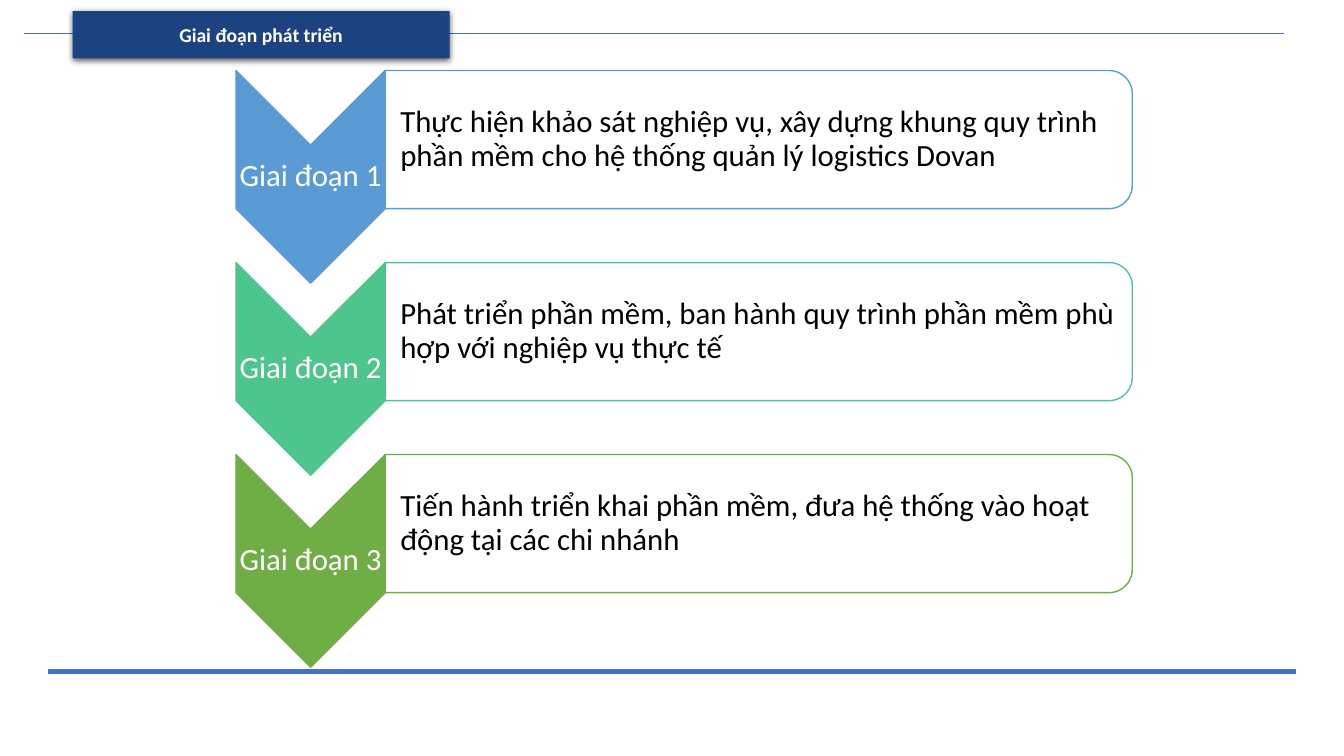
import math
from lxml import etree
from pptx import Presentation
from pptx import util as u
from pptx.dml.color import RGBColor
from pptx.enum import shapes, text
from pptx.oxml import parse_xml
from pptx.oxml.ns import nsdecls, qn

PX = 9144  # EMU per px, 100 px to the inch
COLORS = {"navy": "1D4280", "rule": "4472C4", "white": "FFFFFF", "black": "000000",
          "blue": "5B9BD5", "mint": "4DC58D", "green": "70AD47"}
rgb = {name: RGBColor.from_string(value) for name, value in COLORS.items()}

prs = Presentation()
prs.slide_width, prs.slide_height = 1333 * PX, 750 * PX
slide = prs.slides.add_slide(prs.slide_layouts[6])


def write(sp, words, size=22, color="black", bold=False, align="LEFT",
          insets=(10, 5, 10, 5), spacing=1.0):
    tf = sp.text_frame
    tf.word_wrap = True
    tf.vertical_anchor = text.MSO_ANCHOR.MIDDLE
    tf.margin_left, tf.margin_top, tf.margin_right, tf.margin_bottom = [
        inset * PX for inset in insets]
    p = tf.paragraphs[0]
    p.alignment = getattr(text.PP_ALIGN, align)
    p.line_spacing = spacing
    r = p.add_run()
    r.text = words
    r.font.name, r.font.size, r.font.bold = "Calibri", u.Pt(size), bold
    r.font.color.rgb = rgb[color]


def outline(points, fill, line):
    points = [(x * PX, y * PX) for x, y in points]
    builder = slide.shapes.build_freeform(*points[0])
    builder.add_line_segments(points[1:], close=True)
    sp = builder.convert_to_shape()
    sp.shadow.inherit = False
    sp.fill.solid()
    sp.fill.fore_color.rgb = rgb[fill]
    sp.line.color.rgb = rgb[line]
    sp.line.width = u.Pt(1)
    return sp


# Top and bottom rules
for x1, x2, y, weight in [(24, 1273, 33, 0.5), (48, 1285, 666, 3.75)]:
    rule = slide.shapes.add_connector(
        shapes.MSO_CONNECTOR.STRAIGHT, x1 * PX, y * PX, x2 * PX, y * PX)
    rule.line.color.rgb = rgb["rule"]
    rule.line.width = u.Pt(weight)
    etree.SubElement(rule._element.spPr, qn("a:effectLst"))

# Title banner with a soft shadow
banner = slide.shapes.add_shape(
    shapes.MSO_SHAPE.RECTANGLE, 72 * PX, 11 * PX, 374 * PX, 47 * PX)
banner.fill.solid()
banner.fill.fore_color.rgb = rgb["navy"]
banner.line.fill.background()
banner.shadow.inherit = False
banner._element.spPr.find(qn("a:effectLst")).append(parse_xml(
    f'<a:outerShdw {nsdecls("a")} blurRad="57150" dist="19050" dir="5400000" '
    f'algn="ctr" rotWithShape="0"><a:srgbClr val="{COLORS["black"]}">'
    '<a:alpha val="63000"/></a:srgbClr></a:outerShdw>'))
write(banner, "Giai đoạn phát triển", size=14, color="white", bold=True, align="CENTER")

# Stages: a downward chevron and a box rounded on its right side
STAGES = [
    ("blue", "Thực hiện khảo sát nghiệp vụ, xây dựng khung quy trình "
             "phần mềm cho hệ thống quản lý logistics Dovan"),
    ("mint", "Phát triển phần mềm, ban hành quy trình phần mềm phù "
             "hợp với nghiệp vụ thực tế"),
    ("green", "Tiến hành triển khai phần mềm, đưa hệ thống vào hoạt "
              "động tại các chi nhánh"),
]
LEFT, SPLIT, RIGHT = 234, 382, 1123
TOP, PITCH, HEIGHT, RADIUS = 70, 190.5, 137, 23
HALF = (SPLIT - LEFT) // 2

for i, (color, task) in enumerate(STAGES):
    top = TOP + i * PITCH
    bottom = top + HEIGHT
    middle = LEFT + HALF
    chevron = outline([(SPLIT, top), (SPLIT, bottom), (middle, bottom + HALF),
                       (LEFT, bottom), (LEFT, top), (middle, top + HALF)], color, color)
    write(chevron, f"Giai đoạn {i + 1}", color="white", align="CENTER",
          insets=(2, 75, 2, 75), spacing=0.9)

    corners = []
    for center_y, start in [(top + RADIUS, -90), (bottom - RADIUS, 0)]:
        for degrees in range(start, start + 91, 6):
            angle = math.radians(degrees)
            corners.append((RIGHT - RADIUS + RADIUS * math.cos(angle),
                            center_y + RADIUS * math.sin(angle)))
    box = outline([(SPLIT, top), *corners, (SPLIT, bottom)], "white", color)
    fill_color = box._element.spPr.find(qn("a:solidFill"))[0]
    etree.SubElement(fill_color, qn("a:alpha"), val="90000")
    write(box, task, insets=(15, 8, 8, 8), spacing=0.9)

prs.save("out.pptx")
